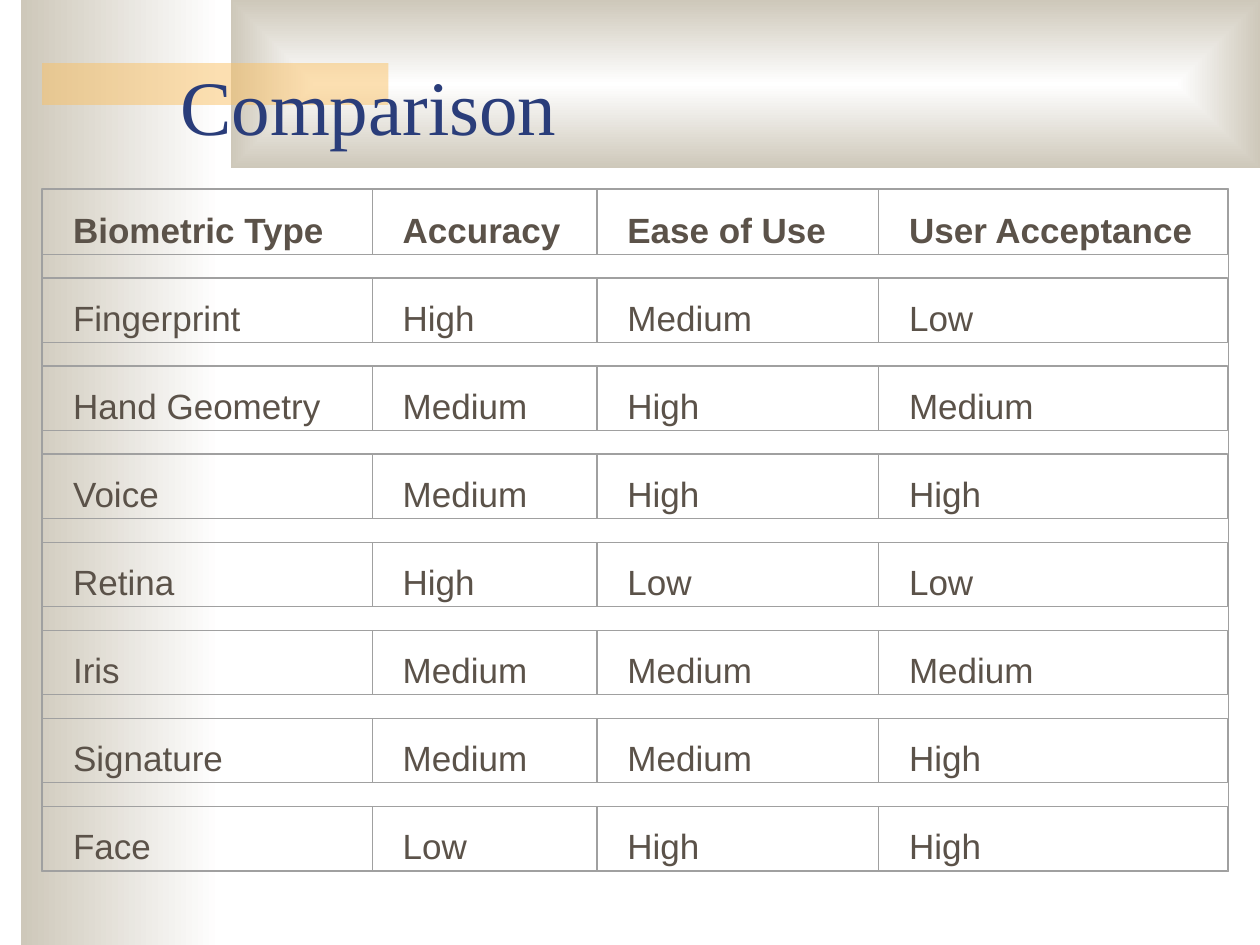
from itertools import accumulate
from typing import NamedTuple

from lxml import etree
from pptx import Presentation
from pptx.dml.color import RGBColor
from pptx.enum.shapes import MSO_SHAPE
from pptx.enum.text import MSO_ANCHOR
from pptx.oxml.ns import qn
from pptx.util import Pt

RECT = MSO_SHAPE.RECTANGLE
TOP, BOTTOM = MSO_ANCHOR.TOP, MSO_ANCHOR.BOTTOM

WHITE, SAND, AMBER = "FFFFFF", "CEC8BA", "FAC164"
NAVY, BROWN, GRAY = "2A3D7A", "5B5249", "A0A0A0"


class Box(NamedTuple):
    left: float
    top: float
    width: float
    height: float

    def lengths(self) -> list:
        return [Pt(value) for value in self]


class Rating(NamedTuple):
    biometric: str
    accuracy: str
    ease: str
    acceptance: str


HEADER = Rating("Biometric Type", "Accuracy", "Ease of Use", "User Acceptance")
RATINGS = [
    Rating("Fingerprint", "High", "Medium", "Low"),
    Rating("Hand Geometry", "Medium", "High", "Medium"),
    Rating("Voice", "Medium", "High", "High"),
    Rating("Retina", "High", "Low", "Low"),
    Rating("Iris", "Medium", "Medium", "Medium"),
    Rating("Signature", "Medium", "Medium", "High"),
    Rating("Face", "Low", "High", "High"),
]

GRID = Box(24, 108, 678, 390)
COLUMN_WIDTHS = [188.3, 128.4, 161, 199.3]
FIRST_LEFT, FIRST_TOP = 24.4, 108.5
ROW_HEIGHT, ROW_PITCH = 36.8, 50.33
TEXT_INSET, TEXT_DROP, TEXT_HEIGHT = 10.3, 6.9, 23


def color(code: str) -> RGBColor:
    return RGBColor.from_string(code)


def add_rect(shapes, box: Box):
    rect = shapes.add_shape(RECT, *box.lengths())
    rect.shadow.inherit = False
    rect.fill.background()
    rect.line.fill.background()
    return rect


def add_frame(shapes, box: Box, weight: float) -> None:
    line = add_rect(shapes, box).line
    line.color.rgb = color(GRAY)
    line.width = Pt(weight)


def add_gradient(shapes, box: Box, from_center: bool = False) -> None:
    """Fade from white to sand, toward the left or outward from the center."""
    rect = add_rect(shapes, box)
    fill = rect.fill
    fill.gradient()
    fill.gradient_angle = 180
    for stop, position, code in zip(fill.gradient_stops, (0, 1), (WHITE, SAND)):
        stop.position = position
        stop.color.rgb = color(code)
    if from_center:
        linear = rect._element.spPr.find(".//" + qn("a:lin"))
        radial = etree.Element(qn("a:path"), path="rect")
        etree.SubElement(radial, qn("a:fillToRect"),
                         {side: "50000" for side in "ltrb"})
        linear.getparent().replace(linear, radial)


def add_tint(shapes, box: Box, code: str, opacity: int) -> None:
    rect = add_rect(shapes, box)
    rect.fill.solid()
    rect.fill.fore_color.rgb = color(code)
    rgb = rect._element.spPr.find(".//" + qn("a:srgbClr"))
    etree.SubElement(rgb, qn("a:alpha"), val=str(opacity * 1000))


def add_text(shapes, text: str, box: Box, *, size: float, code: str,
             font: str = "Arial", bold: bool = False, anchor=TOP) -> None:
    frame = shapes.add_textbox(*box.lengths()).text_frame
    frame.word_wrap = True
    frame.vertical_anchor = anchor
    run = frame.paragraphs[0].add_run()
    run.text = text
    run.font.size = Pt(size)
    run.font.name = font
    run.font.bold = bold
    run.font.color.rgb = color(code)


def add_row(shapes, rating: Rating, top: float, bold: bool) -> None:
    lefts = accumulate(COLUMN_WIDTHS, initial=FIRST_LEFT)
    for text, left, width in zip(rating, lefts, COLUMN_WIDTHS):
        text_box = Box(left + TEXT_INSET, top + TEXT_DROP,
                       width - 2 * TEXT_INSET, TEXT_HEIGHT)
        add_text(shapes, text, text_box, size=20, code=BROWN, bold=bold)
        add_frame(shapes, Box(left, top, width, ROW_HEIGHT), 0)


def main() -> None:
    deck = Presentation()
    deck.slide_width, deck.slide_height = Pt(720), Pt(540)
    slide = deck.slides.add_slide(deck.slide_layouts[6])

    # Background bands
    add_gradient(slide.shapes, Box(12, 0, 114, 540))
    add_gradient(slide.shapes, Box(132, 0, 588, 96), from_center=True)
    add_tint(slide.shapes, Box(24, 36, 198, 24), AMBER, 50)

    # Title
    add_text(slide.shapes, "Comparison", Box(96, 0, 261, 90), size=44,
             code=NAVY, font="Times New Roman", anchor=BOTTOM)

    # Comparison grid with spaced rows and an outer frame
    grid = slide.shapes.add_group_shape().shapes
    for index, rating in enumerate([HEADER, *RATINGS]):
        add_row(grid, rating, FIRST_TOP + index * ROW_PITCH, bold=index == 0)
    add_frame(grid, GRID, 0.88)

    deck.save("out.pptx")


if __name__ == "__main__":
    main()
